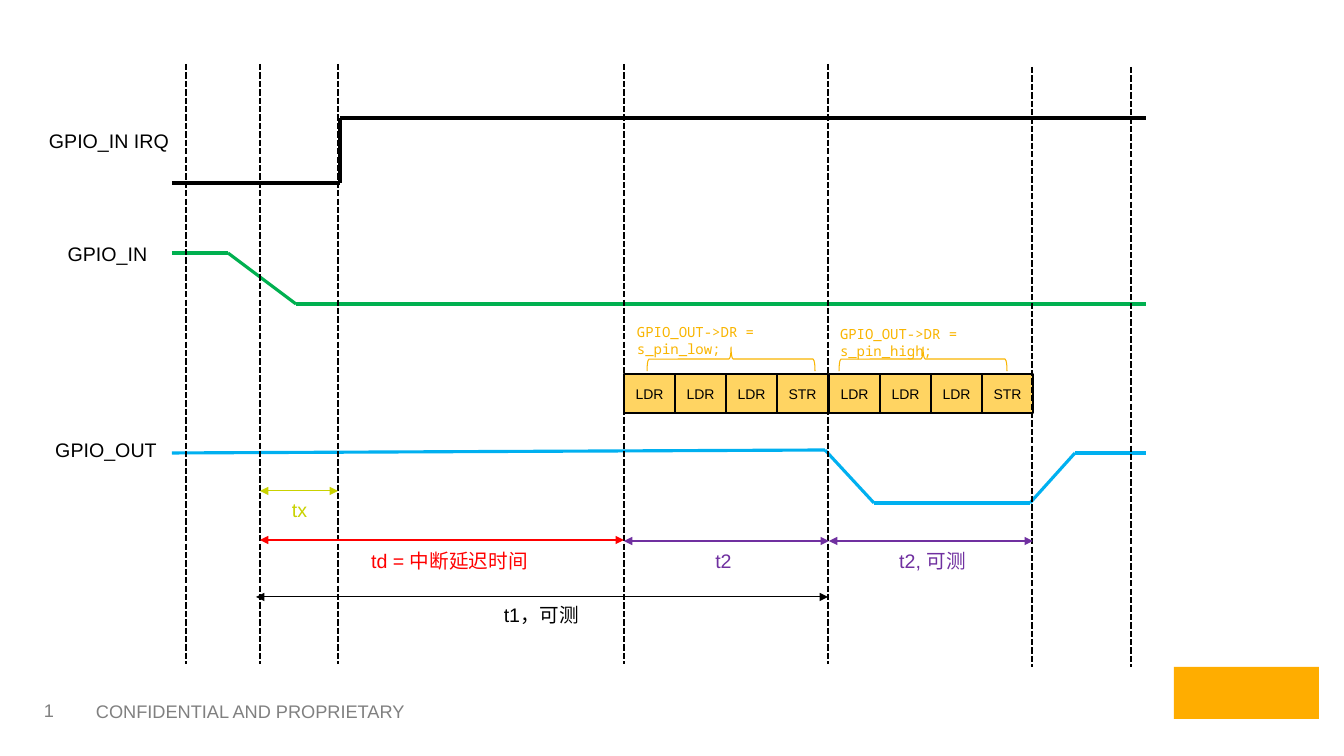
import pptx
import pptx.util
import pptx.dml.color
import pptx.oxml.ns
import pptx.oxml.xmlchemy
import pptx.enum.dml
import pptx.enum.shapes
import pptx.enum.text
from itertools import pairwise

SCALE = 914400 / 100.8
SHAPES = pptx.enum.shapes.MSO_SHAPE
ALIGN = pptx.enum.text.PP_ALIGN
ANCHOR = pptx.enum.text.MSO_ANCHOR
BLACK, WHITE, GRAY, RED, PURPLE = "000000", "FFFFFF", "808080", "FF0000", "7030A0"
GREEN, BLUE, LIME, GOLD, SAND, ORANGE = "00B050", "00B0F0", "C9D200", "F9B500", "FFD462", "FFAD00"

EVENTS = [(186, 64), (260, 64), (338, 64), (624, 64), (828, 64), (1032, 67), (1131, 67)]
EVENT_HEIGHT = 600
SIGNALS = [
    ("GPIO_IN IRQ", (37, 110, 144, 61), BLACK, [(172, 183), (340, 183), (340, 118), (1146, 118)]),
    ("GPIO_IN", (56, 223, 103, 61), GREEN, [(172, 253), (228, 253), (296, 304), (1146, 304)]),
    ("GPIO_OUT", (43, 419, 126, 61), BLUE,
     [(172, 453), (825, 450), (874, 503), (1030, 503), (1075, 453), (1146, 453)]),
]
INSTRUCTIONS = ["LDR", "LDR", "LDR", "STR"]
INSTRUCTION_SIZE = (51, 39)
WRITES = [
    ("GPIO_OUT->DR = s_pin_low;", (627, 322, 209, 36), 624, 731),
    ("GPIO_OUT->DR = s_pin_high;", (830, 324, 216, 36), 829, 923),
]
BRACE_SIZE = (24, 168)
INTERVALS = [
    ("tx", 260, 338, 491, LIME, (248, 492, 103, 36)),
    ("td = 中断延迟时间", 260, 624, 540, RED, (358, 543, 183, 36)),
    ("t2", 624, 829, 541, PURPLE, (672, 543, 103, 36)),
    ("t2, 可测", 829, 1033, 541, PURPLE, (881, 543, 103, 36)),
    ("t1，可测", 256, 828, 597, BLACK, (490, 597, 103, 36)),
]
FOOTER = [
    ("CONFIDENTIAL AND PROPRIETARY", (86, 695, 401, 34), ANCHOR.TOP, 10),
    ("1", (37, 695, 66, 30), ANCHOR.MIDDLE, 7),
]
LOGO = (1174, 667, 145, 52)


def px(length):
    return pptx.util.Emu(round(length * SCALE))


def color(value):
    return pptx.dml.color.RGBColor.from_string(value)


def add_box(place, kind=SHAPES.RECTANGLE, fill=None, line=None, width=1):
    box = slide.shapes.add_shape(kind, *map(px, place))
    box.shadow.inherit = False
    if fill:
        box.fill.solid()
        box.fill.fore_color.rgb = color(fill)
    else:
        box.fill.background()
    if line:
        box.line.color.rgb = color(line)
        box.line.width = pptx.util.Pt(width)
    else:
        box.line.fill.background()
    return box


def add_text(text, place, box=None, size=14, ink=BLACK, font="Arial",
             align=ALIGN.CENTER, anchor=ANCHOR.MIDDLE, margin=0):
    frame = (box or slide.shapes.add_textbox(*map(px, place))).text_frame
    frame.word_wrap = True
    frame.vertical_anchor = anchor
    frame.margin_left = frame.margin_right = px(margin)
    frame.margin_top = frame.margin_bottom = px(5)
    paragraph = frame.paragraphs[0]
    paragraph.alignment = align
    run = paragraph.add_run()
    run.text = text
    run.font.size = pptx.util.Pt(size)
    run.font.name = font
    run.font.color.rgb = color(ink)


def add_line(start, end, ink, width, dashed=False, arrows=False):
    line = slide.shapes.add_connector(
        pptx.enum.shapes.MSO_CONNECTOR.STRAIGHT, *map(px, start + end))
    line.line.color.rgb = color(ink)
    line.line.width = pptx.util.Pt(width)
    if dashed:
        line.line.dash_style = pptx.enum.dml.MSO_LINE.SQUARE_DOT
    properties = line._element.spPr
    if arrows:
        stroke = properties.find(pptx.oxml.ns.qn("a:ln"))
        for tag in ("a:headEnd", "a:tailEnd"):
            tip = pptx.oxml.xmlchemy.OxmlElement(tag)
            tip.set("type", "triangle")
            stroke.append(tip)
    properties.append(pptx.oxml.xmlchemy.OxmlElement("a:effectLst"))


deck = pptx.Presentation()
deck.slide_width, deck.slide_height = px(1344), px(756)
slide = deck.slides.add_slide(deck.slide_layouts[6])

for words, place, anchor, margin in FOOTER:
    add_text(words, place, size=13, ink=GRAY, align=ALIGN.LEFT, anchor=anchor, margin=margin)
add_box(LOGO, fill=ORANGE)

for label, place, ink, points in SIGNALS:
    add_text(label, place, box=add_box(place, fill=WHITE, line=WHITE))
    for start, end in pairwise(points):
        add_line(start, end, ink, 2.25)

for code, place, first, brace_center in WRITES:
    for index, instruction in enumerate(INSTRUCTIONS):
        cell = (first + index * INSTRUCTION_SIZE[0], 374, *INSTRUCTION_SIZE)
        add_text(instruction, cell, box=add_box(cell, fill=SAND, line=BLACK), size=10)
    brace_place = (brace_center - BRACE_SIZE[0] // 2, 275, *BRACE_SIZE)
    brace = add_box(brace_place, SHAPES.LEFT_BRACE, line=GOLD, width=0.75)
    brace.rotation = 90
    add_text(code, place, size=10, ink=GOLD, font="Noto Sans Mono", align=ALIGN.LEFT, margin=10)

for x, top in EVENTS:
    add_line((x, top), (x, top + EVENT_HEIGHT), BLACK, 1.5, dashed=True)

for label, left, right, y, ink, place in INTERVALS:
    add_line((left, y), (right, y), ink, 0.75, arrows=True)
    add_text(label, place, ink=ink)

deck.save("out.pptx")
